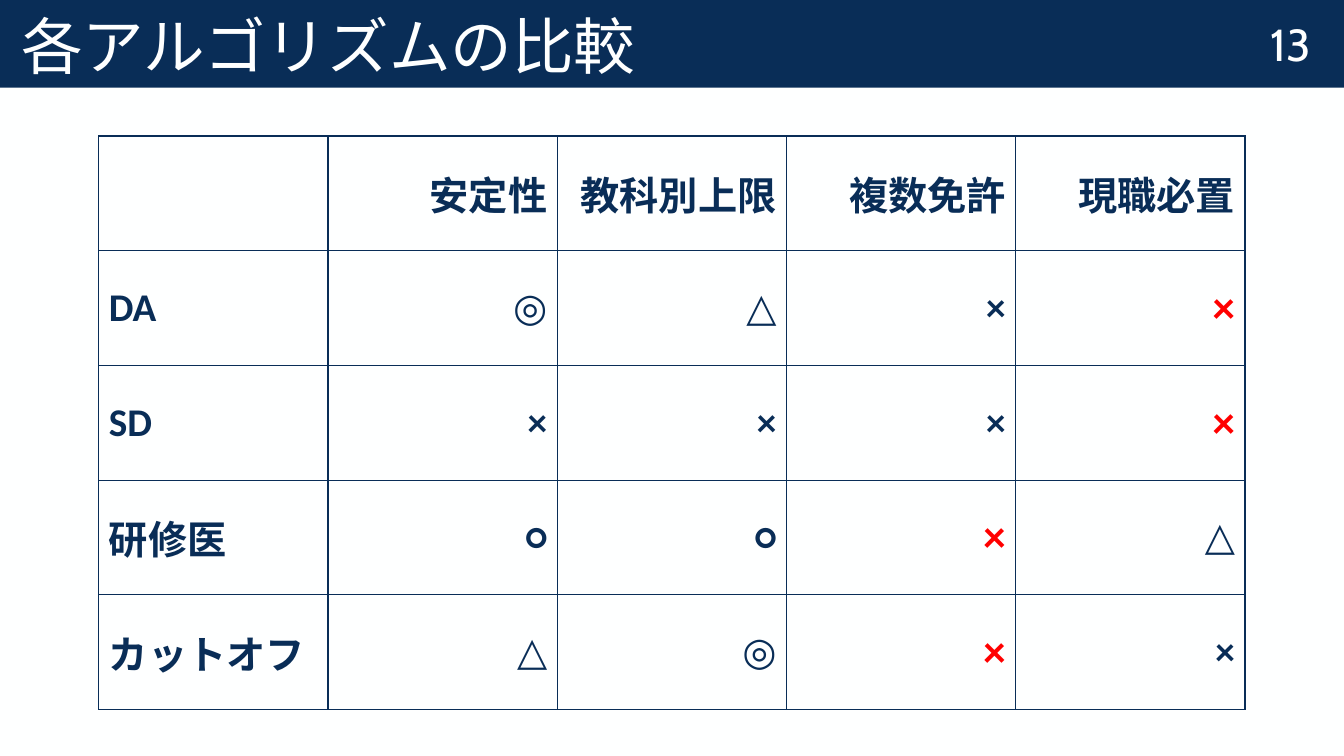
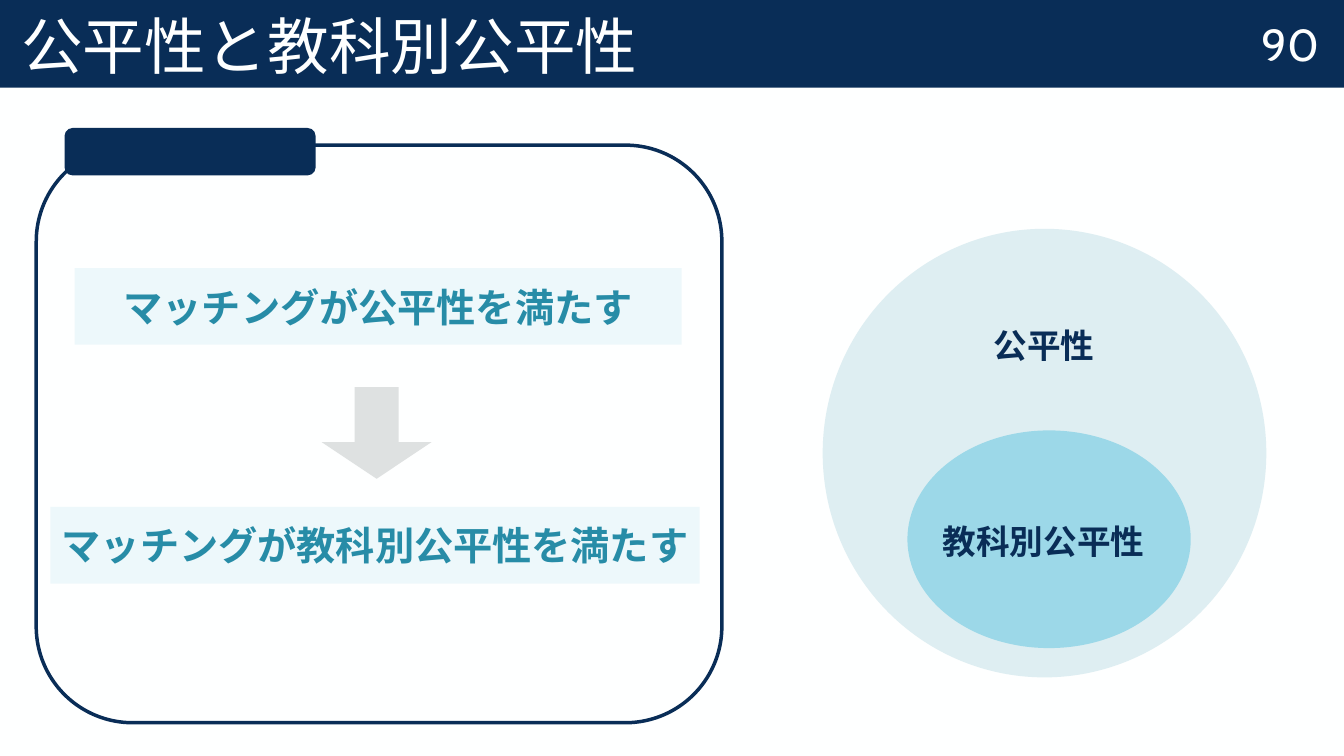
import lxml.etree
import pptx
import pptx.dml.color
import pptx.enum.shapes
import pptx.enum.text
import pptx.oxml.ns
import pptx.util

Inches = pptx.util.Inches
Pt = pptx.util.Pt
RGBColor = pptx.dml.color.RGBColor
MSO_SHAPE = pptx.enum.shapes.MSO_SHAPE
PP_ALIGN = pptx.enum.text.PP_ALIGN
MSO_ANCHOR = pptx.enum.text.MSO_ANCHOR
MSO_AUTO_SIZE = pptx.enum.text.MSO_AUTO_SIZE
qn = pptx.oxml.ns.qn

COLORS = {
    "white": "FEFFFF",
    "navy": "092D57",
    "red": "FF0000",
    "teal": "278CA7",
    "bar": "6BC5DC",
    "arrow": "DEE1E1",
    "outer": "DEEEF2",
    "inner": "9CD8E8",
}
FONTS = {
    "title": {"size": Pt(44), "name": "Cabin", "bold": False},
    "number": {"size": Pt(32), "name": "Cabin", "bold": False},
    "statement": {"size": Pt(28), "name": "Cabin", "bold": True},
    "set": {"size": Pt(24), "name": "Cabin", "bold": True},
    "cell": {"size": Pt(28), "name": "Calibri", "bold": True},
    "warning": {"size": Pt(32), "name": "Calibri", "bold": True},
}


def write_text(frame, text, style, color, alignment=PP_ALIGN.CENTER):
    """Write one formatted paragraph, centred vertically, and return it."""
    frame.vertical_anchor = MSO_ANCHOR.MIDDLE
    paragraph = frame.paragraphs[0]
    paragraph.alignment = alignment
    run = paragraph.add_run()
    run.text = text
    for attribute, value in FONTS[style].items():
        setattr(run.font, attribute, value)
    run.font.color.rgb = RGBColor.from_string(COLORS[color])
    return paragraph


def add_shape(slide, kind, box, fill=None, line=None):
    shape = slide.shapes.add_shape(kind, *map(Inches, box))
    shape.shadow.inherit = False
    if fill:
        shape.fill.solid()
        shape.fill.fore_color.rgb = RGBColor.from_string(COLORS[fill])
    else:
        shape.fill.background()
    if line:
        shape.line.color.rgb = RGBColor.from_string(COLORS[line])
        shape.line.width = Pt(2.5)
    else:
        shape.line.fill.background()
    return shape


presentation = pptx.Presentation()
presentation.slide_width = Inches(13.33)
presentation.slide_height = Inches(7.5)
background = presentation.slide_master.background.fill
background.solid()
background.fore_color.rgb = RGBColor.from_string(COLORS["white"])

# Title band and page number on every slide
slides = []
for title_text, number in [("各アルゴリズムの比較", "13"), ("公平性と教科別公平性", "90")]:
    slide = presentation.slides.add_slide(presentation.slide_layouts[5])
    slides.append(slide)
    title = slide.shapes.title
    title.left, title.top, title.width, title.height = map(Inches, (0, 0, 13.33, 0.87))
    title.fill.solid()
    title.fill.fore_color.rgb = RGBColor.from_string(COLORS["navy"])
    paragraph = write_text(title.text_frame, title_text, "title", "white", PP_ALIGN.LEFT)
    paragraph.line_spacing = 0.9
    paragraph._p.get_or_add_pPr().set("indent", str(Inches(0.11)))
    title.text_frame.vertical_anchor = MSO_ANCHOR.BOTTOM
    title.text_frame.auto_size = MSO_AUTO_SIZE.NONE

    number_box = slide.shapes.add_textbox(*map(Inches, (12.28, 0, 1.04, 0.86)))
    number_box.text_frame.word_wrap = True
    write_text(number_box.text_frame, number, "number", "white")

comparison_slide, fairness_slide = slides

# Comparison table
ROWS = [
    ["", "安定性", "教科別上限", "複数免許", "現職必置"],
    ["DA", "◎", "△", "×", "×"],
    ["SD", "×", "×", "×", "×"],
    ["研修医", "○", "○", "×", "△"],
    ["カットオフ", "△", "◎", "×", "×"],
]
WARNINGS = {(1, 4), (2, 4), (3, 3), (4, 3)}

table = comparison_slide.shapes.add_table(
    len(ROWS), len(ROWS[0]), *map(Inches, (0.98, 1.35, 11.37, 5.69))
).table
table.first_row = False
table.horz_banding = False
for row_index, row in enumerate(ROWS):
    for column_index, text in enumerate(row):
        cell = table.cell(row_index, column_index)
        if text:
            is_warning = (row_index, column_index) in WARNINGS
            write_text(
                cell.text_frame,
                text,
                "warning" if is_warning else "cell",
                "red" if is_warning else "navy",
                PP_ALIGN.RIGHT if column_index else PP_ALIGN.LEFT,
            )
        cell.vertical_anchor = MSO_ANCHOR.MIDDLE
        properties = cell._tc.get_or_add_tcPr()
        for side in ("a:lnL", "a:lnR", "a:lnT", "a:lnB"):
            border = lxml.etree.SubElement(properties, qn(side), w=str(Pt(1)))
            border_fill = lxml.etree.SubElement(border, qn("a:solidFill"))
            lxml.etree.SubElement(border_fill, qn("a:srgbClr"), val=COLORS["navy"])
        cell.fill.background()

# Framed implication
add_shape(fairness_slide, MSO_SHAPE.ROUNDED_RECTANGLE, (0.36, 1.44, 6.8, 5.73), line="navy")
add_shape(fairness_slide, MSO_SHAPE.ROUNDED_RECTANGLE, (0.64, 1.27, 2.49, 0.47), fill="navy")
arrow = add_shape(fairness_slide, MSO_SHAPE.RIGHT_ARROW, (3.28, 3.75, 0.91, 1.09), fill="arrow")
arrow.rotation = 90
arrow.adjustments[0] = 0.4
arrow.adjustments[1] = 0.4

for text, box in [
    ("マッチングが公平性を満たす", (0.74, 2.66, 6.02, 0.76)),
    ("マッチングが教科別公平性を満たす", (0.5, 5.03, 6.44, 0.76)),
]:
    bar = add_shape(fairness_slide, MSO_SHAPE.RECTANGLE, box, fill="bar")
    bar_color = bar._element.spPr.find(qn("a:solidFill")).find(qn("a:srgbClr"))
    lxml.etree.SubElement(bar_color, qn("a:alpha"), val="11000")
    write_text(bar.text_frame, text, "statement", "teal").space_before = Pt(6)

# Nested sets
add_shape(fairness_slide, MSO_SHAPE.OVAL, (8.16, 2.27, 4.4, 4.45), fill="outer")
add_shape(fairness_slide, MSO_SHAPE.OVAL, (9, 4.27, 2.81, 2.16), fill="inner")
for text, box in [
    ("教科別公平性", (9.24, 5.12, 2.22, 0.5)),
    ("公平性", (9.75, 3.17, 1.21, 0.5)),
]:
    label = fairness_slide.shapes.add_textbox(*map(Inches, box))
    label.text_frame.word_wrap = False
    label.text_frame.auto_size = MSO_AUTO_SIZE.SHAPE_TO_FIT_TEXT
    write_text(label.text_frame, text, "set", "navy")

presentation.save("out.pptx")
